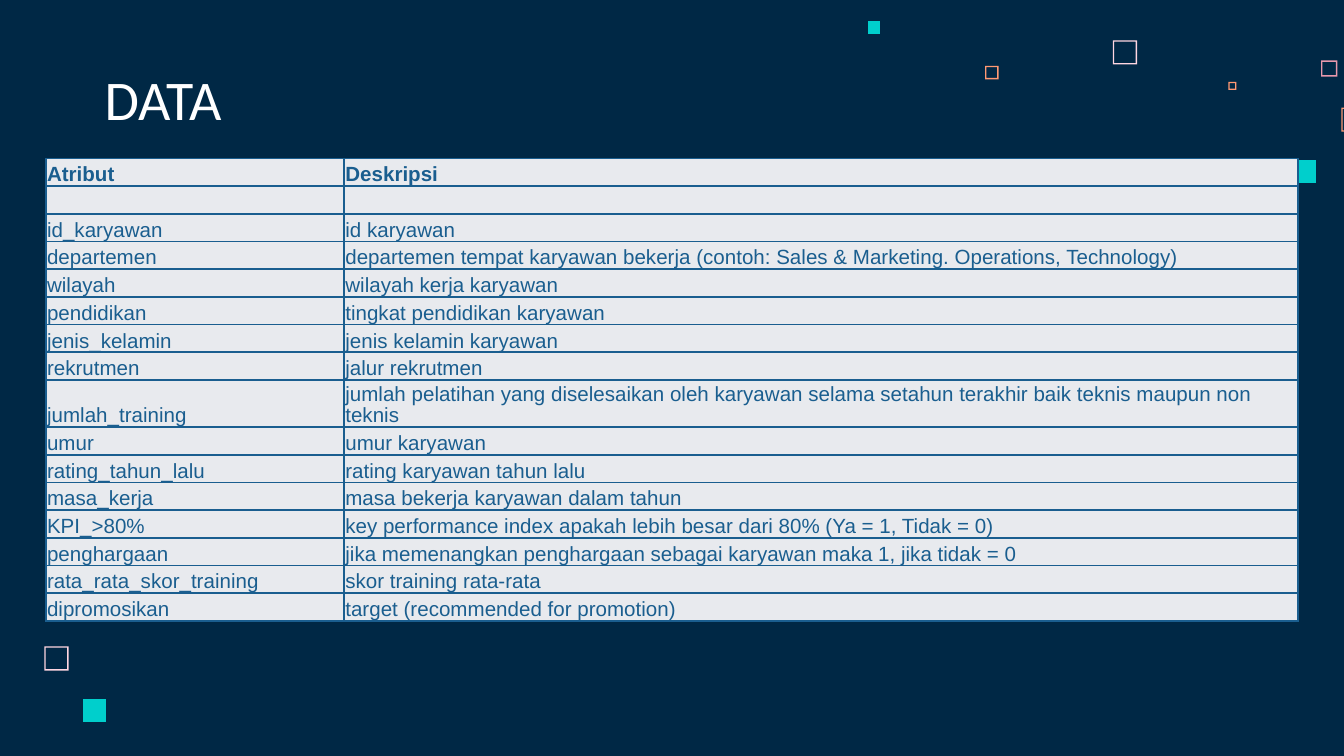
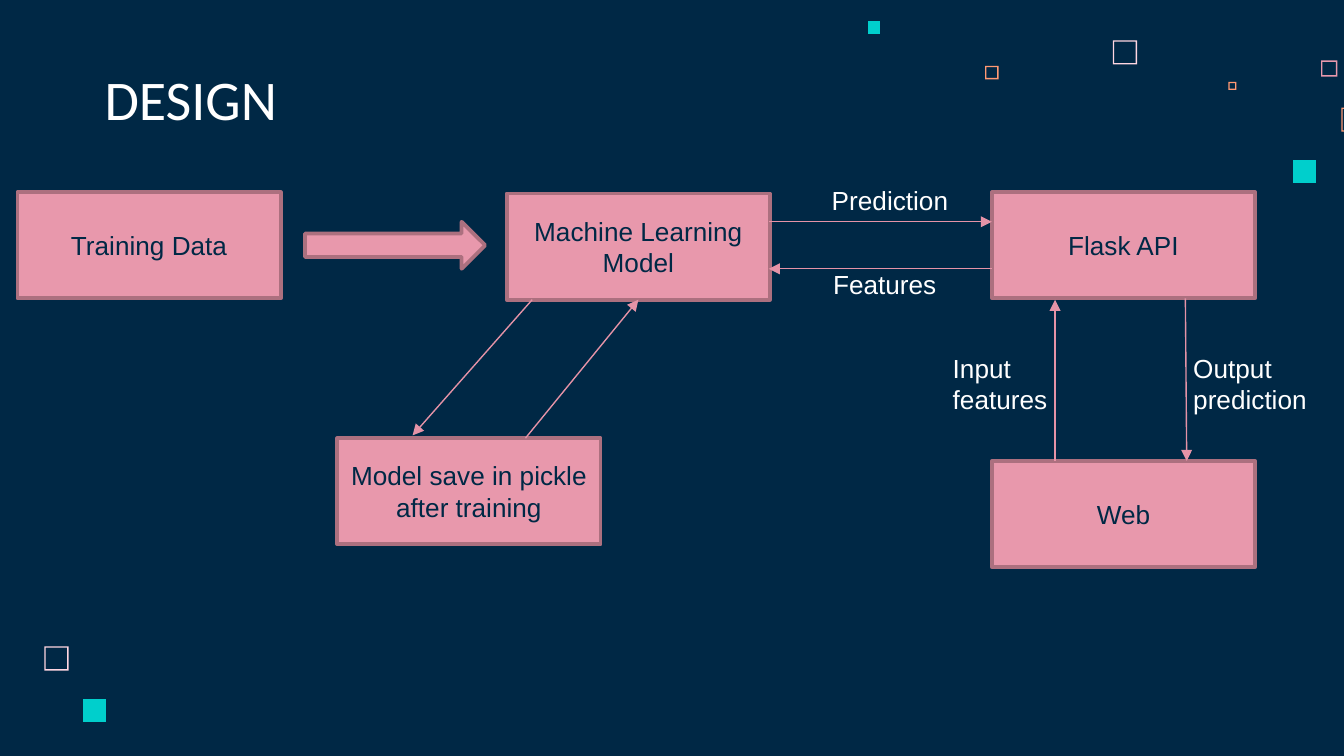
"""Builds two slides: the employee attribute table and the model design diagram."""
from lxml import etree
from pptx import Presentation
from pptx.dml.color import RGBColor
from pptx.enum.shapes import MSO_CONNECTOR, MSO_SHAPE
from pptx.enum.text import MSO_ANCHOR, PP_ALIGN
from pptx.oxml.ns import qn
from pptx.util import Inches, Pt

RECTANGLE, RIGHT_ARROW = MSO_SHAPE.RECTANGLE, MSO_SHAPE.RIGHT_ARROW
STRAIGHT = MSO_CONNECTOR.STRAIGHT
TOP, MIDDLE, BOTTOM = MSO_ANCHOR.TOP, MSO_ANCHOR.MIDDLE, MSO_ANCHOR.BOTTOM
LEFT, CENTER = PP_ALIGN.LEFT, PP_ALIGN.CENTER

NAVY, WHITE = "002845", "FFFFFF"
TEAL, ORANGE, PINK, PALE_PINK = "00CFCC", "FF9973", "E898AC", "FFD6E1"
PINK_EDGE, ARROW_PINK = "AC707F", "E593A7"
TABLE_BLUE, TABLE_GREY = "1A5E8F", "E8EAEE"

HOLLOW_SQUARES = [
    (8.28, 0.3, 0.18, PALE_PINK),
    (9.83, 0.45, 0.12, PINK),
    (9.14, 0.61, 0.06, ORANGE),
    (9.98, 0.8, 0.18, ORANGE),
    (7.33, 0.49, 0.1, ORANGE),
    (0.33, 4.81, 0.18, PALE_PINK),
]
SOLID_SQUARES = [
    (9.62, 1.19, 0.17, TEAL),
    (6.46, 0.16, 0.09, TEAL),
    (0.62, 5.2, 0.17, TEAL),
]
SQUARE_RIM = 0.01

ATTRIBUTES = [
    ("Atribut", "Deskripsi"),
    ("", ""),
    ("id_karyawan", "id karyawan"),
    ("departemen", "departemen tempat karyawan bekerja "
                   "(contoh: Sales & Marketing. Operations, Technology)"),
    ("wilayah", "wilayah kerja karyawan"),
    ("pendidikan", "tingkat pendidikan karyawan"),
    ("jenis_kelamin", "jenis kelamin karyawan"),
    ("rekrutmen", "jalur rekrutmen"),
    ("jumlah_training", "jumlah pelatihan yang diselesaikan oleh karyawan "
                        "selama setahun terakhir baik teknis maupun non teknis"),
    ("umur", "umur karyawan"),
    ("rating_tahun_lalu", "rating karyawan tahun lalu"),
    ("masa_kerja", "masa bekerja karyawan dalam tahun"),
    ("KPI_>80%", "key performance index apakah lebih besar dari 80% (Ya = 1, Tidak = 0)"),
    ("penghargaan", "jika memenangkan penghargaan sebagai karyawan maka 1, jika tidak = 0"),
    ("rata_rata_skor_training", "skor training rata-rata"),
    ("dipromosikan", "target (recommended for promotion)"),
]
COLUMN_WIDTHS = (2.22, 7.1)
TABLE_LEFT, TABLE_TOP, TABLE_HEIGHT = 0.34, 1.18, 3.44
TALL_ROW, TALL_HEIGHT = 8, 0.35
TABLE_LINE_SPACING = 0.93

STEP_WIDTH, STEP_HEIGHT = 1.96, 0.79
STEPS = [
    ("Training Data", 0.13, 1.43),
    ("Machine Learning Model", 3.77, 1.44),
    ("Web", 7.38, 3.43),
    ("Flask API", 7.38, 1.43),
    ("Model save in pickle after training", 2.51, 3.26),
]
FLOW_ARROW = (2.27, 1.65, 1.34, 0.35)
ARROWS = [
    (5.72, 1.65, 7.38, 1.65),
    (7.38, 2, 5.72, 2),
    (8.82, 2.22, 8.83, 3.43),
    (7.85, 3.43, 7.85, 2.23),
    (3.96, 2.23, 3.07, 3.24),
    (3.91, 3.26, 4.75, 2.23),
]
LABEL_WIDTH = 1.11
LABELS = [
    ("Prediction", 6.09, 1.32, 0.34),
    ("Features", 6.1, 1.95, 0.34),
    ("Input features", 6.99, 2.57, 0.57),
    ("Output prediction", 8.78, 2.57, 0.57),
]


def paint(target, color):
    target.solid()
    target.fore_color.rgb = RGBColor.from_string(color)


def write(frame, text, size, color, font="Arial", bold=False, align=LEFT, anchor=TOP):
    frame.text = text
    frame.word_wrap = True
    frame.vertical_anchor = anchor
    para = frame.paragraphs[0]
    para.alignment = align
    for span in para.runs:
        span.font.size = Pt(size)
        span.font.name = font
        span.font.bold = bold
        span.font.color.rgb = RGBColor.from_string(color)
    if not para.runs:
        etree.SubElement(para._p, qn("a:endParaRPr"), sz=str(size * 100))


def add_label(page, text, left, top, width, height, size=14, **style):
    box = page.shapes.add_textbox(Inches(left), Inches(top), Inches(width), Inches(height))
    write(box.text_frame, text, size, WHITE, **style)
    return box


def add_square(page, left, top, side, color, hollow):
    def corners(inset):
        near, far = inset, side - inset
        offsets = [(near, near), (far, near), (far, far), (near, far)]
        return [(Inches(left + dx), Inches(top + dy)) for dx, dy in offsets]

    outer = corners(0)
    builder = page.shapes.build_freeform(*outer[0])
    builder.add_line_segments(outer[1:], close=True)
    if hollow:
        start, *others = reversed(corners(SQUARE_RIM))
        builder.move_to(*start)
        builder.add_line_segments(others, close=True)
    square = builder.convert_to_shape()
    square.shadow.inherit = False
    paint(square.fill, color)
    square.line.fill.background()


def add_page(deck, title):
    page = deck.slides.add_slide(deck.slide_layouts[6])
    paint(page.background.fill, NAVY)
    for square in HOLLOW_SQUARES:
        add_square(page, *square, hollow=True)
    for square in SOLID_SQUARES:
        add_square(page, *square, hollow=False)
    frame = add_label(page, title, 0.68, 0.45, 5.17, 0.63, size=30,
                      font="Calibri", anchor=BOTTOM).text_frame
    frame.margin_top = frame.margin_bottom = Inches(0.1)
    return page


def add_borders(cell):
    properties = cell._tc.get_or_add_tcPr()
    for side in ("lnL", "lnR", "lnT", "lnB"):
        line = etree.SubElement(properties, qn(f"a:{side}"), w=str(Pt(1)))
        fill = etree.SubElement(line, qn("a:solidFill"))
        etree.SubElement(fill, qn("a:srgbClr"), val=TABLE_BLUE)


def add_attribute_table(page):
    table = page.shapes.add_table(
        len(ATTRIBUTES), len(COLUMN_WIDTHS), Inches(TABLE_LEFT), Inches(TABLE_TOP),
        Inches(sum(COLUMN_WIDTHS)), Inches(TABLE_HEIGHT)).table
    table.first_row = table.horz_banding = False
    for column, width in zip(table.columns, COLUMN_WIDTHS):
        column.width = Inches(width)
    row_height = (TABLE_HEIGHT - TALL_HEIGHT) / (len(ATTRIBUTES) - 1)
    for row_index, texts in enumerate(ATTRIBUTES):
        row = table.rows[row_index]
        row.height = Inches(TALL_HEIGHT if row_index == TALL_ROW else row_height)
        for cell, text in zip(row.cells, texts):
            write(cell.text_frame, text, 11, TABLE_BLUE, bold=row_index == 0)
            cell.text_frame.paragraphs[0].line_spacing = TABLE_LINE_SPACING
            cell.vertical_anchor = BOTTOM
            cell.margin_left = cell.margin_right = cell.margin_top = Inches(0.01)
            cell.margin_bottom = 0
            add_borders(cell)
            paint(cell.fill, TABLE_GREY)


def add_block(page, kind, left, top, width, height):
    block = page.shapes.add_shape(kind, Inches(left), Inches(top), Inches(width), Inches(height))
    block.shadow.inherit = False
    paint(block.fill, PINK)
    paint(block.line.fill, PINK_EDGE)
    block.line.width = Pt(2)
    return block


def add_arrow(page, *ends):
    arrow = page.shapes.add_connector(STRAIGHT, *(Inches(end) for end in ends))
    paint(arrow.line.fill, ARROW_PINK)
    arrow.line.width = Pt(0.75)
    etree.SubElement(arrow.line._get_or_add_ln(), qn("a:tailEnd"), type="triangle")
    etree.SubElement(arrow._element.spPr, qn("a:effectLst"))


def add_design_diagram(page):
    for text, left, top in STEPS:
        block = add_block(page, RECTANGLE, left, top, STEP_WIDTH, STEP_HEIGHT)
        write(block.text_frame, text, 14, NAVY, align=CENTER, anchor=MIDDLE)
    add_block(page, RIGHT_ARROW, *FLOW_ARROW)
    for ends in ARROWS:
        add_arrow(page, *ends)
    for text, left, top, height in LABELS:
        add_label(page, text, left, top, LABEL_WIDTH, height)


def main():
    deck = Presentation()
    deck.slide_width = Inches(10)
    deck.slide_height = deck.slide_width * 9 // 16
    add_attribute_table(add_page(deck, "DATA"))
    add_design_diagram(add_page(deck, "DESIGN"))
    deck.save("out.pptx")


if __name__ == "__main__":
    main()
